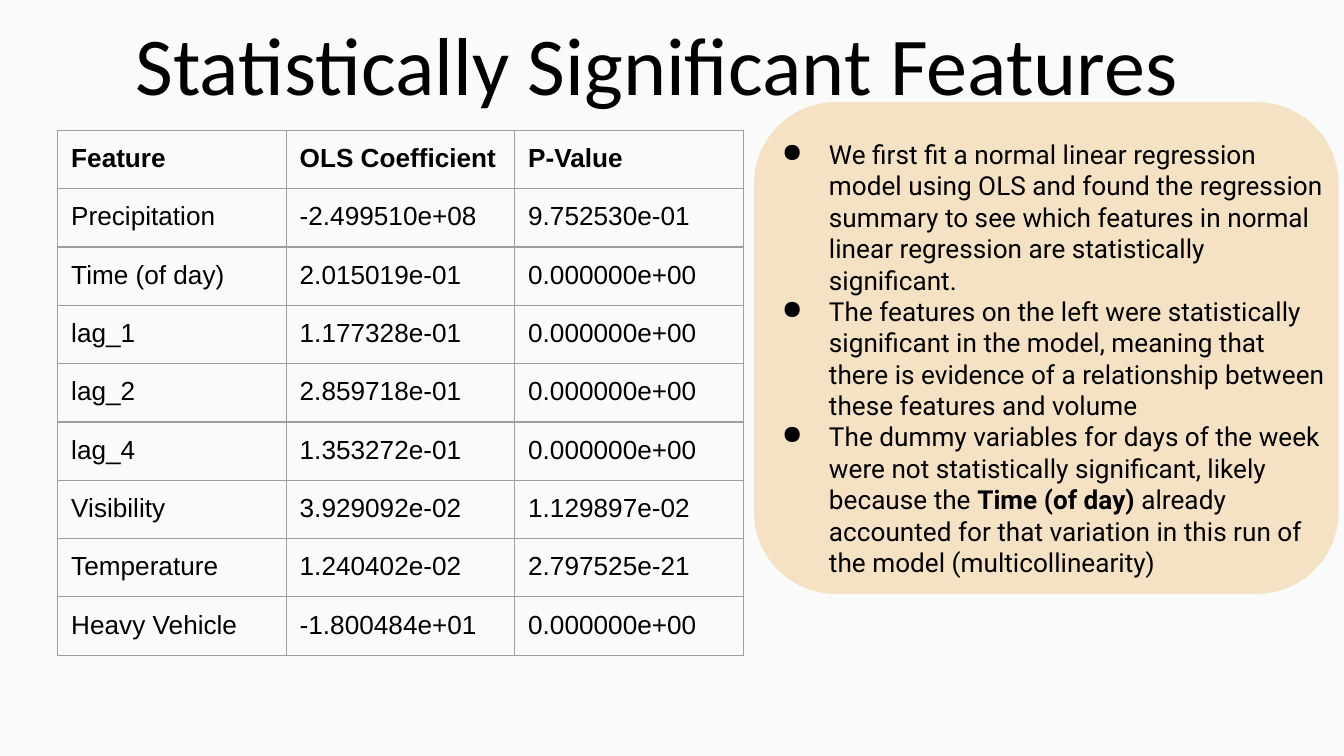
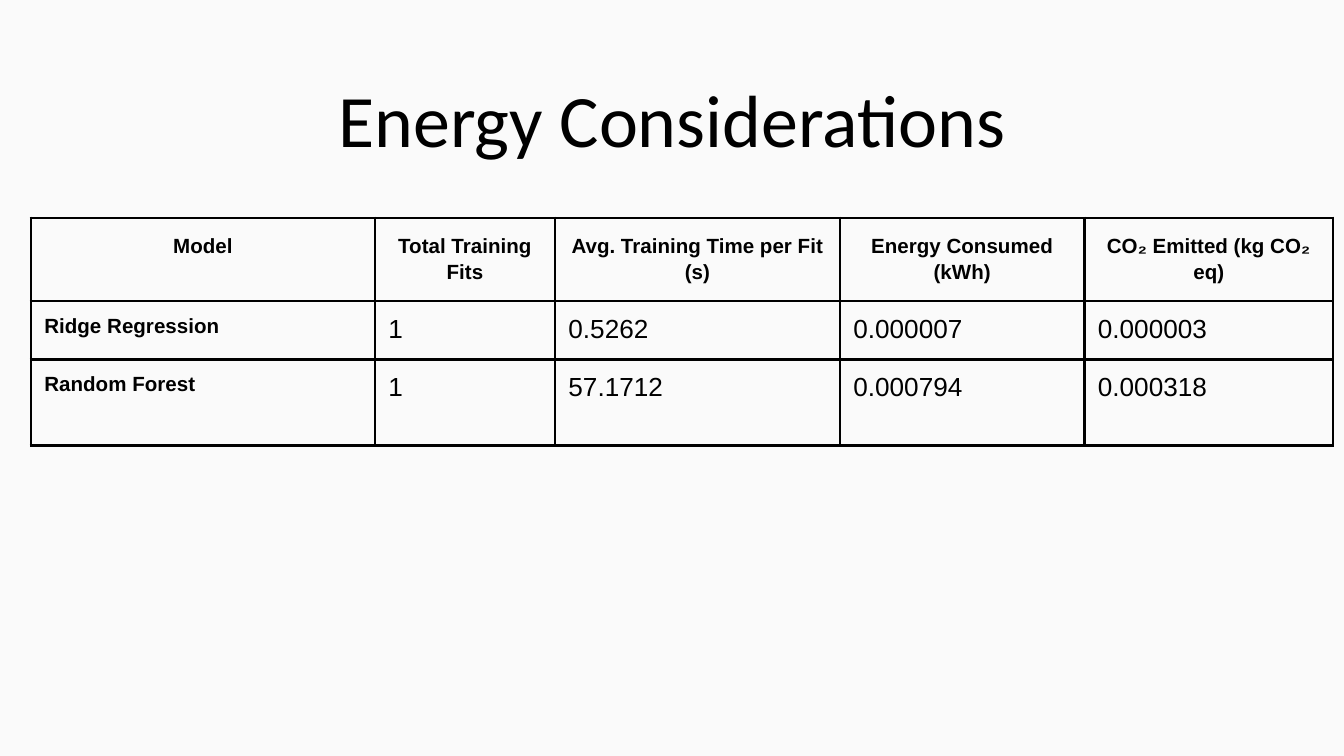
import pptx
import pptx.dml.color
import pptx.enum.shapes
import pptx.enum.text
import pptx.oxml
import pptx.oxml.ns
import pptx.util
from lxml import etree

Inches = pptx.util.Inches
CENTER = pptx.enum.text.PP_ALIGN.CENTER
LEFT = pptx.enum.text.PP_ALIGN.LEFT
qn = pptx.oxml.ns.qn

COLORS = {"background": "FAFAFA", "text": "000000", "panel": "E99B27",
          "grid": "9E9E9E", "rule": "000000"}
MARGINS = {f"margin_{side}": Inches(0.1) for side in ("left", "right", "top", "bottom")}


def add_run(p, text, name, size, bold=False):
    r = p.add_run()
    r.text = text
    for key, value in {"name": name, "size": pptx.util.Pt(size), "bold": bold}.items():
        setattr(r.font, key, value)
    r.font.color.rgb = pptx.dml.color.RGBColor.from_string(COLORS["text"])


def add_grid(s, left, top, widths, heights, rows, color, width, style):
    frame = s.shapes.add_table(len(heights), len(widths), Inches(left), Inches(top),
                               Inches(sum(widths)), Inches(sum(heights)))
    table = frame.table
    table.first_row = table.horz_banding = False
    for column, w in zip(table.columns, widths):
        column.width = Inches(w)
    for row, h in zip(table.rows, heights):
        row.height = Inches(h)
    for i, row in enumerate(rows):
        for j, text in enumerate(row):
            cell = table.cell(i, j)
            for key, value in MARGINS.items():
                setattr(cell, key, value)
            size, bold, align, spacing = style(i, j)
            p = cell.text_frame.paragraphs[0]
            p.alignment = align
            p.line_spacing = spacing
            add_run(p, text, "Arial", size, bold)
            tcPr = cell._tc.get_or_add_tcPr()
            for side in ("lnL", "lnR", "lnT", "lnB"):
                ln = etree.SubElement(tcPr, qn(f"a:{side}"), w=str(int(pptx.util.Pt(width))))
                fill = etree.SubElement(ln, qn("a:solidFill"))
                etree.SubElement(fill, qn("a:srgbClr"), val=COLORS[color])
            cell.fill.background()


prs = pptx.Presentation()
prs.slide_width = Inches(10)
prs.slide_height = Inches(5.625)

titles = [
    ("Statistically Significant Features", 44, (0, 0, 9.78, 1.68)),
    ("Energy Considerations", 39.6, (0.5, 0.45, 9, 0.41)),
]
slides = []
for text, size, box in titles:
    s = prs.slides.add_slide(prs.slide_layouts[6])
    s.background.fill.solid()
    s.background.fill.fore_color.rgb = pptx.dml.color.RGBColor.from_string(COLORS["background"])
    tf = s.shapes.add_textbox(*map(Inches, box)).text_frame
    for key, value in {**MARGINS, "word_wrap": True}.items():
        setattr(tf, key, value)
    tf.paragraphs[0].alignment = CENTER
    add_run(tf.paragraphs[0], text, "Calibri", size)
    slides.append(s)

features = [
    ("Feature", "OLS Coefficient", "P-Value"),
    ("Precipitation", "-2.499510e+08", "9.752530e-01"),
    ("Time (of day)", "2.015019e-01", "0.000000e+00"),
    ("lag_1", "1.177328e-01", "0.000000e+00"),
    ("lag_2", "2.859718e-01", "0.000000e+00"),
    ("lag_4", "1.353272e-01", "0.000000e+00"),
    ("Visibility", "3.929092e-02", "1.129897e-02"),
    ("Temperature", "1.240402e-02", "2.797525e-21"),
    ("Heavy Vehicle", "-1.800484e+01", "0.000000e+00"),
]
s = slides[0]
add_grid(s, 0.43, 0.97, [1.7] * 3, [0.43] * len(features), features, "grid", 0.75,
         lambda i, j: (14, i == 0, LEFT, None))

sp = s.shapes.add_shape(pptx.enum.shapes.MSO_SHAPE.ROUNDED_RECTANGLE,
                        Inches(5.61), Inches(0.76), Inches(4.35), Inches(3.66))
sp.shadow.inherit = False
sp.line.fill.background()
sp.fill.solid()
sp.fill.fore_color.rgb = pptx.dml.color.RGBColor.from_string(COLORS["panel"])
panel_color = sp.fill._xPr.find(qn("a:solidFill")).find(qn("a:srgbClr"))
etree.SubElement(panel_color, qn("a:alpha"), val="25000")

findings = [
    [("We first fit a normal linear regression model using OLS and found the regression "
      "summary to see which features in normal linear regression are statistically "
      "significant.", False)],
    [("The features on the left were statistically significant in the model, meaning that "
      "there is evidence of a relationship between these features and volume", False)],
    [("The dummy variables for days of the week were not statistically significant, likely "
      "because the ", False),
     ("Time (of day) ", True),
     ("already accounted for that variation in this run of the model (multicollinearity)",
      False)],
]
tf = s.shapes.add_textbox(Inches(5.57), Inches(0.93), Inches(4.43), Inches(3.5)).text_frame
for key, value in {**MARGINS, "word_wrap": True}.items():
    setattr(tf, key, value)
for i, runs in enumerate(findings):
    p = tf.add_paragraph() if i else tf.paragraphs[0]
    pPr = p._p.get_or_add_pPr()
    pPr.set("marL", str(int(Inches(0.5))))
    pPr.set("indent", str(int(Inches(-0.35))))
    bullet_color = etree.SubElement(pPr, qn("a:buClr"))
    etree.SubElement(bullet_color, qn("a:srgbClr"), val=COLORS["text"])
    etree.SubElement(pPr, qn("a:buChar"), char="●")
    for text, bold in runs:
        add_run(p, text, "Roboto", 14, bold)

energy = [
    ("Model", "Total Training Fits", "Avg. Training Time per Fit (s)",
     "Energy Consumed (kWh)", "CO₂ Emitted (kg CO₂ eq)"),
    ("Ridge Regression", "1", "0.5262", "0.000007", "0.000003"),
    ("Random Forest", "1", "57.1712", "0.000794", "0.000318"),
]
add_grid(slides[1], 0.23, 1.62, [2.56, 1.34, 2.12, 1.82, 1.85], [0.59, 0.42, 0.64],
         energy, "rule", 1.5,
         lambda i, j: (11, True, CENTER, 1.15) if i == 0
         else (11 if j == 0 else 14, j == 0, LEFT, None))

prs.save("out.pptx")
